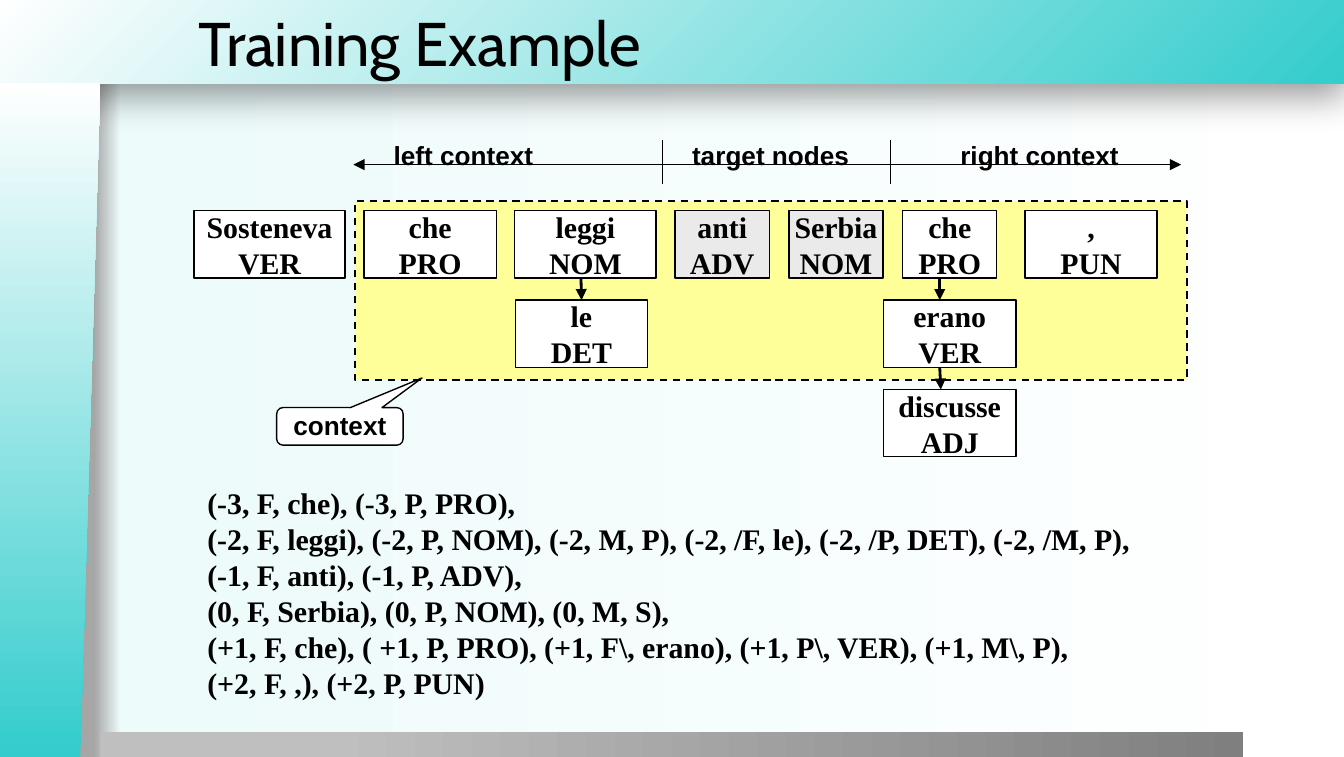
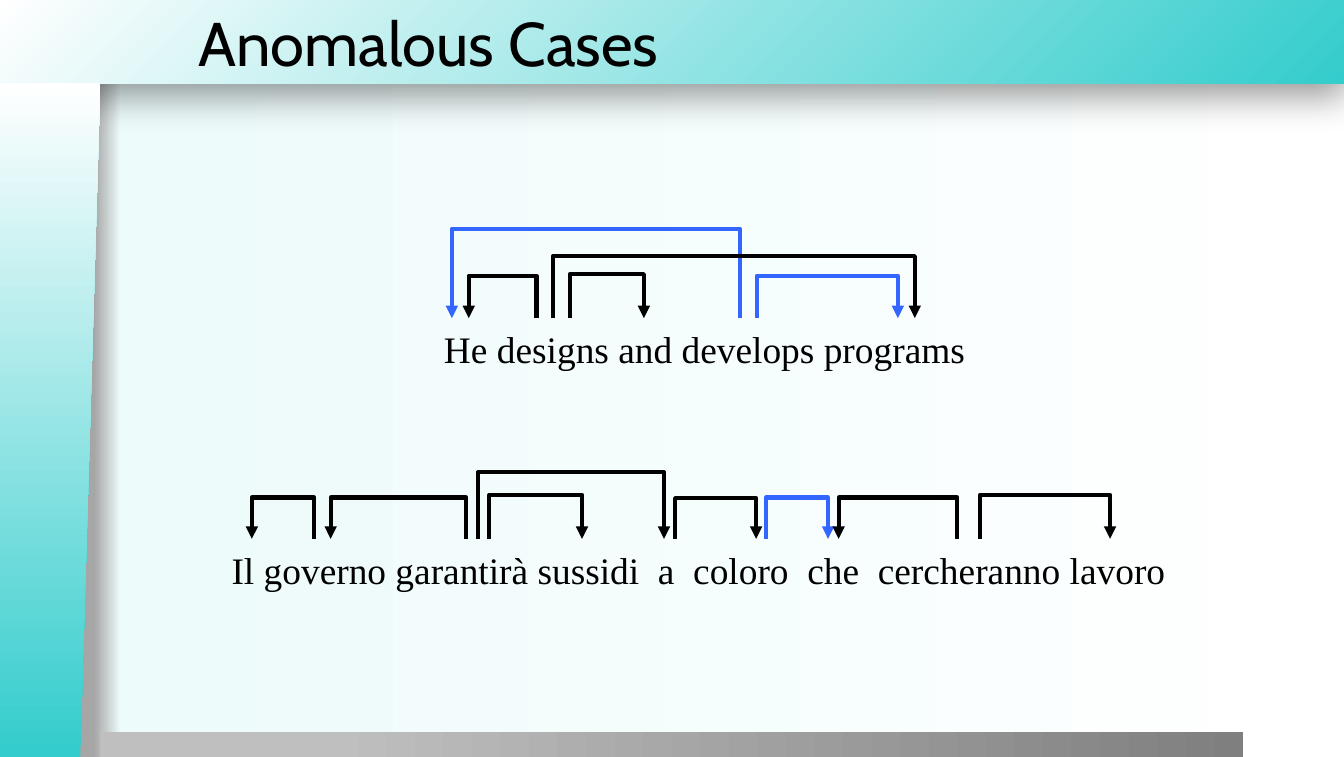
from lxml import etree
from pptx import Presentation
from pptx import util as u
from pptx.dml.color import RGBColor
from pptx.enum import dml, shapes, text
from pptx.oxml.ns import qn

COLOURS = {
    "black": "000000", "white": "FFFFFF", "teal": "34CCCC", "mint": "EDFBFB",
    "edge": "A6A6A6", "silver": "BFBFBF", "grey": "7F7F7F",
    "yellow": "FFFF99", "target": "EAEAEA", "blue": "3366FF",
}
SERIF, SANS, TITLE_FONT = "Times New Roman", "Arial", "Cabin"
ROW_TOP, ROW_PITCH, WORD_HEIGHT = 3.98, 1.69, 1.27

# form, tag, left, width, row, fill
WORDS = [
    ("Sosteneva", "VER", 3.67, 2.85, 0, "white"),
    ("che", "PRO", 6.88, 2.5, 0, "white"),
    ("leggi", "NOM", 9.73, 2.67, 0, "white"),
    ("anti", "ADV", 12.76, 1.78, 0, "target"),
    ("Serbia", "NOM", 14.91, 1.78, 0, "target"),
    ("che", "PRO", 17.06, 1.78, 0, "white"),
    (",", "PUN", 19.37, 2.5, 0, "white"),
    ("le", "DET", 9.74, 2.5, 1, "white"),
    ("erano", "VER", 16.7, 2.5, 1, "white"),
    ("discusse", "ADJ", 16.7, 2.5, 2, "white"),
]
FEATURES = r"""(-3, F, che), (-3, P, PRO),
(-2, F, leggi), (-2, P, NOM), (-2, M, P), (-2, /F, le), (-2, /P, DET), (-2, /M, P),
(-1, F, anti), (-1, P, ADV),
(0, F, Serbia), (0, P, NOM), (0, M, S),
(+1, F, che), ( +1, P, PRO), (+1, F\, erano), (+1, P\, VER), (+1, M\, P),
(+2, F, ,), (+2, P, PUN)"""

# head x, dependent x, top, colour
ENGLISH_ARCS = [
    (10.77, 12.17, 5.18, "black"), (13.98, 8.54, 4.32, "blue"),
    (14.3, 16.97, 5.21, "blue"), (10.14, 8.86, 5.21, "black"),
    (10.45, 17.29, 4.84, "black"),
]
ITALIAN_ARCS = [
    (8.81, 6.25, 9.4, "black"), (9.25, 11, 9.35, "black"),
    (12.76, 14.29, 9.41, "black"), (14.48, 15.65, 9.4, "blue"),
    (5.94, 4.76, 9.4, "black"), (18.09, 15.85, 9.4, "black"),
    (18.52, 20.98, 9.35, "black"), (9.04, 12.55, 8.92, "black"),
]


def rgb(name):
    return RGBColor.from_string(COLOURS[name])


def lengths(*values):
    return [u.Cm(value) for value in values]


def set_gradient(fill, element, stops, to_corner=False):
    """Replace the first gradient in element, running rightwards or out of the bottom right corner."""
    fill.gradient()
    gradient = element.find(".//" + qn("a:gradFill"))
    for child in list(gradient):
        gradient.remove(child)
    gradient.set("rotWithShape", "1")
    stop_list = etree.SubElement(gradient, qn("a:gsLst"))
    for position, name in stops:
        stop = etree.SubElement(stop_list, qn("a:gs"), pos=str(position * 1000))
        etree.SubElement(stop, qn("a:srgbClr"), val=COLOURS[name])
    if to_corner:
        direction = etree.SubElement(gradient, qn("a:path"), path="circle")
        etree.SubElement(direction, qn("a:fillToRect"), l="100000", t="100000")
    else:
        etree.SubElement(gradient, qn("a:lin"), ang="0", scaled="0")


def set_line(line, colour="black", width=0.75):
    line.color.rgb = rgb(colour)
    line.width = u.Pt(width)


def add_arrowhead(shape, end="tailEnd"):
    outline = shape.element.spPr.find(qn("a:ln"))
    etree.SubElement(outline, qn("a:" + end), type="triangle")


def set_text(frame, content, font, size, bold=False, align=None, inset=None,
             anchor=text.MSO_ANCHOR.TOP, wrap=True):
    frame.text = content
    frame.word_wrap = wrap
    frame.vertical_anchor = anchor
    if inset is not None:
        frame.margin_left = frame.margin_right = u.Cm(inset)
        frame.margin_top = frame.margin_bottom = u.Cm(inset)
    for paragraph in frame.paragraphs:
        paragraph.alignment = align
        for run in paragraph.runs:
            run.font.name = font
            run.font.size = u.Pt(size)
            run.font.bold = bold
            run.font.color.rgb = rgb("black")


def add_box(slide, kind, place, fill=None, line_width=None):
    shape = slide.shapes.add_shape(kind, *lengths(*place))
    shape.shadow.inherit = False
    if fill:
        shape.fill.solid()
        shape.fill.fore_color.rgb = rgb(fill)
    if line_width:
        set_line(shape.line, width=line_width)
    else:
        shape.line.fill.background()
    return shape


def add_text(slide, place, content, *style, **options):
    box = slide.shapes.add_textbox(*lengths(*place))
    set_text(box.text_frame, content, *style, **options)


def add_line(slide, start, end, width=0.75, heads=()):
    line = slide.shapes.add_connector(
        shapes.MSO_CONNECTOR.STRAIGHT, *lengths(*start, *end))
    set_line(line.line, width=width)
    for head in heads:
        add_arrowhead(line, head)
    etree.SubElement(line.element.spPr, qn("a:effectLst"))
    return line


def add_word(slide, form, tag, left, width, row, fill):
    place = (left, ROW_TOP + row * ROW_PITCH, width, WORD_HEIGHT)
    box = add_box(slide, shapes.MSO_SHAPE.RECTANGLE, place, fill, 0.75)
    set_text(box.text_frame, f"{form}\n{tag}", SERIF, 16, True,
             text.PP_ALIGN.CENTER, 0.08, text.MSO_ANCHOR.MIDDLE, False)
    return box


def add_link(slide, start_x, end_x, row):
    """Arrow from the bottom of a row of words to the top of the next one."""
    top = ROW_TOP + row * ROW_PITCH
    return add_line(slide, (start_x, top + WORD_HEIGHT),
                    (end_x, top + ROW_PITCH), 1.5, ["tailEnd"])


def add_arc(slide, baseline, head, dependent, top, colour):
    points = [(head, top), (dependent, top), (dependent, baseline)]
    builder = slide.shapes.build_freeform(*lengths(head, baseline))
    builder.add_line_segments([lengths(*point) for point in points], close=False)
    arc = builder.convert_to_shape()
    arc.shadow.inherit = False
    arc.fill.background()
    set_line(arc.line, colour, 2.25)
    add_arrowhead(arc)


def add_sentence(slide, left, top, content, baseline, arcs):
    for arc in arcs:
        add_arc(slide, baseline, *arc)
    add_text(slide, (left, top, 17.88, 0.74), content, SERIF, 20,
             align=text.PP_ALIGN.CENTER, inset=0)


def add_header_shadow(shape):
    effects = shape.element.spPr.find(qn("a:effectLst"))
    shadow = etree.SubElement(effects, qn("a:outerShdw"), blurRad=str(u.Pt(20)),
                              dist=str(u.Pt(6)), dir="5400000",
                              algn="t", rotWithShape="0")
    colour = etree.SubElement(shadow, qn("a:srgbClr"), val=COLOURS["black"])
    etree.SubElement(colour, qn("a:alpha"), val="40000")


def decorate_layout(layout, slide):
    """Give the layout its background and bands, built on slide and then moved."""
    for placeholder in list(layout.placeholders):
        if placeholder.placeholder_format.type != shapes.PP_PLACEHOLDER.TITLE:
            placeholder.element.getparent().remove(placeholder.element)
    set_gradient(layout.background.fill, layout.element,
                 [(7, "edge"), (9, "mint"), (100, "white")])

    kinds = shapes.MSO_SHAPE
    header = add_box(slide, kinds.RECTANGLE, (-0.03, 0, 25.43, 1.58))
    set_gradient(header.fill, header.element, [(0, "teal"), (100, "white")], True)
    add_header_shadow(header)
    footer = add_box(slide, kinds.RECTANGLE, (1.9, 13.83, 21.59, 0.5))
    set_gradient(footer.fill, footer.element, [(20, "silver"), (100, "grey")])
    side = add_box(slide, kinds.FLOWCHART_MANUAL_INPUT, (-5.43, 7, 12.75, 1.9))
    set_gradient(side.fill, side.element, [(1, "teal"), (100, "white")])
    side.rotation = 270
    side.element.spPr.find(qn("a:xfrm")).set("flipV", "1")
    for index, band in enumerate((header, footer, side), start=2):
        layout.shapes.element.insert(index, band.element)


def add_titled_slide(presentation, layout, title):
    slide = presentation.slides.add_slide(layout)
    shape = slide.shapes.title
    shape.left, shape.top, shape.width, shape.height = lengths(3.5, 0, 21.9, 1.58)
    set_text(shape.text_frame, title, TITLE_FONT, 33,
             align=text.PP_ALIGN.LEFT, anchor=text.MSO_ANCHOR.MIDDLE)
    shape.text_frame.auto_size = text.MSO_AUTO_SIZE.NONE
    return slide


def fill_training_example(slide):
    context = add_box(slide, shapes.MSO_SHAPE.RECTANGLE,
                      (6.71, 3.8, 15.72, 3.38), "yellow", 1)
    context.line.dash_style = dml.MSO_LINE.DASH
    boxes = {word[0]: add_word(slide, *word) for word in WORDS}
    add_link(slide, 10.98, 10.98, 0).end_connect(boxes["le"], 0)
    add_link(slide, 17.76, 17.76, 0)
    add_link(slide, 17.76, 17.78, 1)

    callout = add_box(slide, shapes.MSO_SHAPE.ROUNDED_RECTANGULAR_CALLOUT,
                      (5.23, 7.7, 2.39, 0.71), "white", 0.75)
    for index, value in enumerate((0.65, -1.29, 0.17)):
        callout.adjustments[index] = value
    set_text(callout.text_frame, "context", SANS, 14, True,
             text.PP_ALIGN.CENTER, 0)

    add_line(slide, (6.68, 3.11), (22.32, 3.11), heads=["headEnd", "tailEnd"])
    for left, label in ((7.44, "left context"), (13.08, "target nodes"),
                        (18.15, "right context")):
        add_text(slide, (left, 2.64, 3.38, 0.56), label, SANS, 14, True, inset=0)
    for x in (12.52, 16.83):
        add_line(slide, (x, 2.64), (x, 3.48))
    add_text(slide, (3.67, 9.04, 19.81, 3.38), FEATURES, SERIF, 16, True)


def fill_anomalous_cases(slide):
    add_sentence(slide, 4.27, 10.34,
                 "Il governo garantirà sussidi  a  coloro  che  cercheranno lavoro",
                 10.18, ITALIAN_ARCS)
    add_sentence(slide, 4.38, 6.17, "He designs and develops programs",
                 6.01, ENGLISH_ARCS)


def main():
    presentation = Presentation()
    presentation.slide_width, presentation.slide_height = lengths(25.4, 14.3)
    layout = presentation.slide_layouts[5]
    training = add_titled_slide(presentation, layout, "Training Example")
    decorate_layout(layout, training)
    fill_training_example(training)
    fill_anomalous_cases(add_titled_slide(presentation, layout, "Anomalous Cases"))
    presentation.save("out.pptx")


if __name__ == "__main__":
    main()
